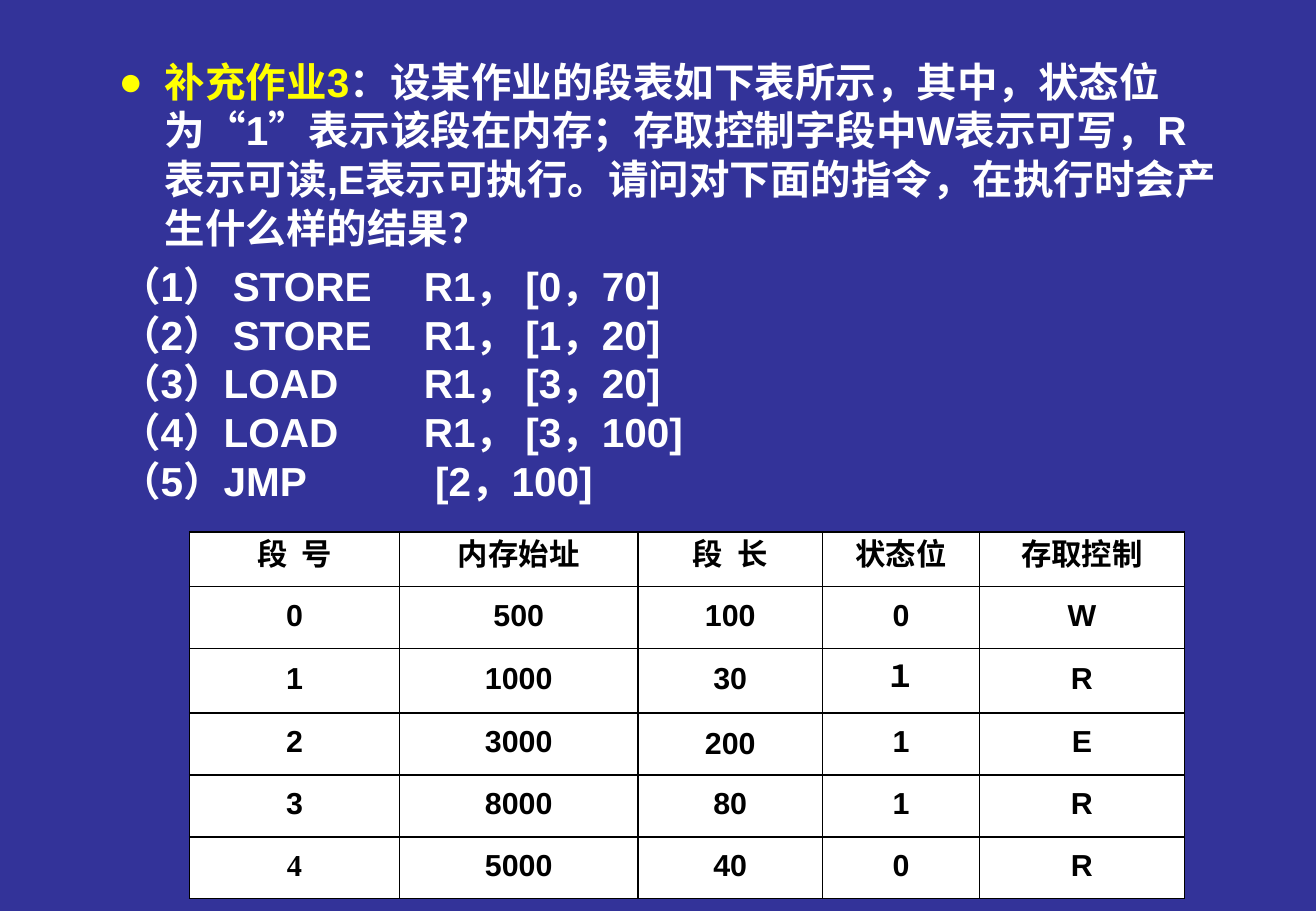
from dataclasses import dataclass

from lxml.etree import SubElement
from pptx import Presentation
from pptx.dml.color import RGBColor
from pptx.enum.lang import MSO_LANGUAGE_ID
from pptx.enum.text import MSO_ANCHOR, MSO_AUTO_SIZE, PP_ALIGN
from pptx.oxml.ns import qn
from pptx.slide import Slide
from pptx.table import _Cell
from pptx.util import Inches, Pt

COLORS = {"blue": "333399", "yellow": "FFFF00", "white": "FFFFFF", "black": "000000"}
PAGE_WIDTH, PAGE_HEIGHT = Inches(10.83), Inches(7.5)
GRID = 100
TAB_STOPS = (0.92, 6.37)
COLUMN_SPANS = (15.97, 18.1, 14.04, 11.91, 15.6)
ROW_SPANS = (6, 6.8, 7.07, 6.8, 6.8, 6.8)
SEGMENTS = (
    ("段  号", "内存始址", "段  长", "状态位", "存取控制"),
    ("0", "500", "100", "0", "W"),
    ("1", "1000", "30", "１", "R"),
    ("2", "3000", "200", "1", "E"),
    ("3", "8000", "80", "1", "R"),
    ("4", "5000", "40", "0", "R"),
)
SERIF_CELL = (5, 0)
NATURAL_SPACING_CELL = (3, 2)


@dataclass(frozen=True)
class Span:
    text: str
    color: str = "white"
    size: int = 24
    font: str = "Arial"


@dataclass(frozen=True)
class Line:
    spans: tuple[Span, ...]
    margin: float = 1.85
    indent: float = 0
    after: int = 0
    bullet: str = ""


QUESTION = Line(
    (
        Span("补充作业3", "yellow"),
        Span(
            "：设某作业的段表如下表所示，其中，状态位为“1”表示该段在内存；"
            "存取控制字段中W表示可写，R表示可读,E表示可执行。"
            "请问对下面的指令，在执行时会产生什么样的结果？"
        ),
    ),
    margin=5.26,
    indent=-3.51,
    after=6,
    bullet="●",
)
INSTRUCTIONS = (
    "（1） STORE\tR1， [0，70]",
    "（2） STORE\tR1， [1，20]",
    "（3）LOAD\t\tR1， [3，20]",
    "（4）LOAD\t\tR1， [3，100]",
    "（5）JMP\t\t [2，100]",
)


def columns(count: float) -> int:
    return round(PAGE_WIDTH * count / GRID)


def rows(count: float) -> int:
    return round(PAGE_HEIGHT * count / GRID)


def color(name: str) -> RGBColor:
    return RGBColor.from_string(COLORS[name])


def add_span(para, span: Span) -> None:
    run = para.add_run()
    run.text = span.text
    run.font.name = span.font
    run.font.size = Pt(span.size)
    run.font.bold = True
    run.font.language_id = MSO_LANGUAGE_ID.SIMPLIFIED_CHINESE
    run.font.color.rgb = color(span.color)


def add_line(para, line: Line) -> None:
    settings = para._p.get_or_add_pPr()
    settings.set("marL", str(columns(line.margin)))
    settings.set("indent", str(columns(line.indent)))
    if line.bullet:
        tint = SubElement(settings, qn("a:buClr"))
        SubElement(tint, qn("a:srgbClr"), val=COLORS[line.spans[0].color])
        SubElement(settings, qn("a:buFont"), typeface="Arial")
        SubElement(settings, qn("a:buChar"), char=line.bullet)
    else:
        SubElement(settings, qn("a:buNone"))
    tabs = SubElement(settings, qn("a:tabLst"))
    for stop in TAB_STOPS:
        SubElement(tabs, qn("a:tab"), pos=str(columns(stop)), algn="l")
    para.level = 3
    para.space_after = Pt(line.after)
    for span in line.spans:
        add_span(para, span)


def add_exercise(page: Slide) -> None:
    box = page.shapes.add_textbox(columns(6.37), rows(5.33), columns(87.26), rows(50.93))
    box.fill.solid()
    box.fill.fore_color.rgb = color("blue")
    frame = box.text_frame
    frame.word_wrap = True
    frame.auto_size = MSO_AUTO_SIZE.SHAPE_TO_FIT_TEXT
    frame.vertical_anchor = MSO_ANCHOR.MIDDLE
    add_line(frame.paragraphs[0], QUESTION)
    for text in INSTRUCTIONS:
        add_line(frame.add_paragraph(), Line((Span(text),)))


def style_cell(cell: _Cell) -> None:
    settings = cell._tc.get_or_add_tcPr()
    for side in ("lnL", "lnR", "lnT", "lnB"):
        border = SubElement(settings, qn(f"a:{side}"), w=str(Pt(1)))
        fill = SubElement(border, qn("a:solidFill"))
        SubElement(fill, qn("a:srgbClr"), val=COLORS["black"])
    cell.fill.solid()
    cell.fill.fore_color.rgb = color("white")
    cell.vertical_anchor = MSO_ANCHOR.MIDDLE
    cell.margin_left = cell.margin_right = Inches(0.08)
    cell.margin_top = cell.margin_bottom = 0


def add_segment_table(page: Slide) -> None:
    table = page.shapes.add_table(
        len(ROW_SPANS), len(COLUMN_SPANS), columns(14.4), rows(58.4),
        columns(sum(COLUMN_SPANS)), rows(sum(ROW_SPANS)),
    ).table
    for column, share in zip(table.columns, COLUMN_SPANS):
        column.width = columns(share)
    for row, share in zip(table.rows, ROW_SPANS):
        row.height = rows(share)
    for row_index, values in enumerate(SEGMENTS):
        for column_index, text in enumerate(values):
            place = (row_index, column_index)
            cell = table.cell(*place)
            style_cell(cell)
            para = cell.text_frame.paragraphs[0]
            para.alignment = PP_ALIGN.CENTER
            if place != NATURAL_SPACING_CELL:
                para.line_spacing = Pt(18)
            font = "Times New Roman" if place == SERIF_CELL else "Arial"
            add_span(para, Span(text, "black", 18, font))


def main() -> None:
    deck = Presentation()
    deck.slide_width, deck.slide_height = PAGE_WIDTH, PAGE_HEIGHT
    page = deck.slides.add_slide(deck.slide_layouts[6])
    page.background.fill.solid()
    page.background.fill.fore_color.rgb = color("blue")
    add_segment_table(page)
    add_exercise(page)
    deck.save("out.pptx")


if __name__ == "__main__":
    main()
